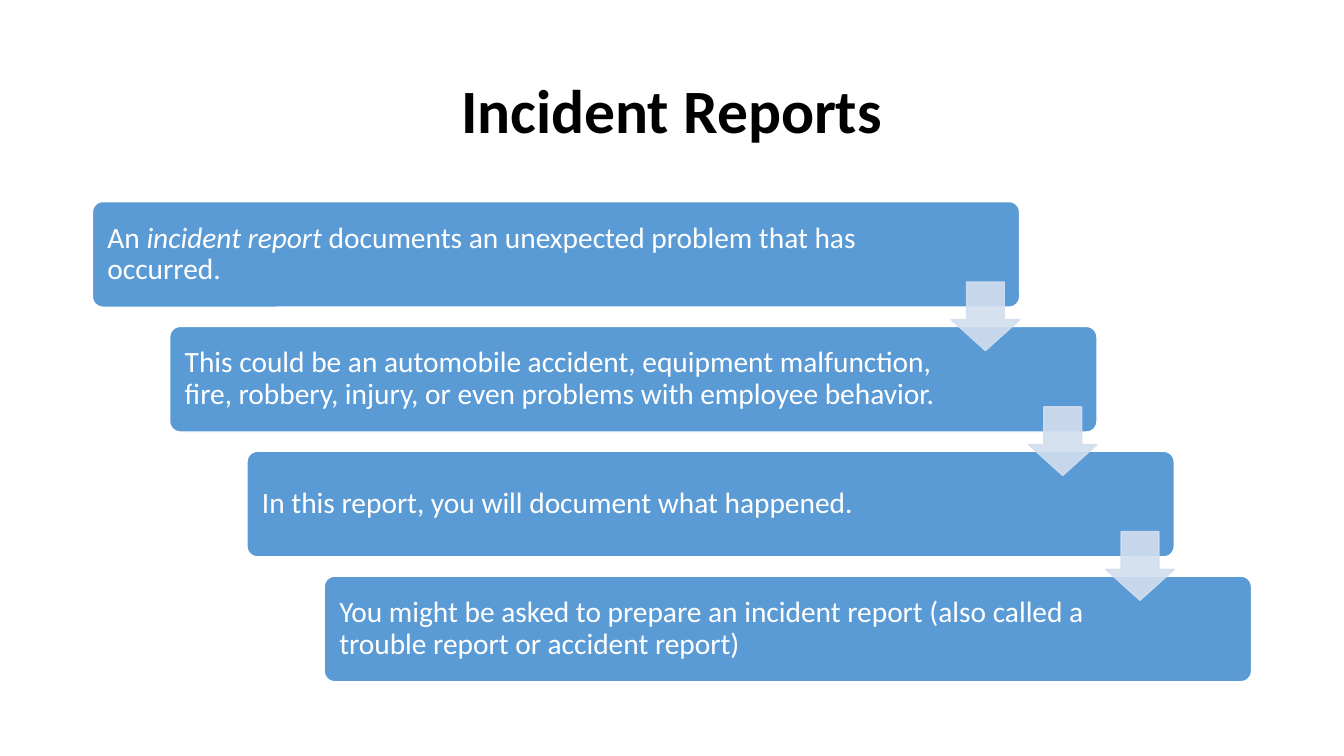
from lxml import etree
from pptx import Presentation
from pptx import util as u
from pptx.dml import color
from pptx.enum import shapes, text
from pptx.oxml import ns

COLORS = {"title": "000000", "band": "5B9BD5", "white": "FFFFFF", "arrow": "D2DEEF"}
STEPS = [
    [("An ", False), ("incident report ", True),
     ("documents an unexpected problem that has occurred.", False)],
    [("This could be an automobile accident, equipment malfunction, fire, "
      "robbery, injury, or even problems with employee behavior.", False)],
    [("In this report, you will document what happened.", False)],
    [("You might be asked to prepare an incident report (also called a "
      "trouble report or accident report)", False)],
]


def rgb(name):
    """Return the named colour."""
    return color.RGBColor.from_string(COLORS[name])


def add_text(p, words, size=21, fill="white", bold=False, italic=False):
    """Append a formatted run to a paragraph."""
    r = p.add_run()
    r.text = words
    f = r.font
    f.name, f.size, f.bold, f.italic = "Calibri", u.Pt(size), bold, italic
    f.color.rgb = rgb(fill)


def first_paragraph(sp, align, left=7.2, right=7.2):
    """Set up a wrapped, middle-anchored text frame and return its paragraph."""
    tf = sp.text_frame
    tf.word_wrap = True
    tf.vertical_anchor = text.MSO_ANCHOR.MIDDLE
    tf.margin_left, tf.margin_right = u.Pt(left), u.Pt(right)
    p = tf.paragraphs[0]
    p.alignment, p.line_spacing = align, 0.9
    return p


def add_block(s, kind, box, adjustments, fill, line):
    """Add a flat preset shape in the given box."""
    sp = s.shapes.add_shape(kind, *map(u.Pt, box))
    sp.shadow.inherit = False
    for i, value in enumerate(adjustments):
        sp.adjustments[i] = value
    sp.fill.solid()
    sp.fill.fore_color.rgb = rgb(fill)
    sp.line.color.rgb = rgb(line)
    sp.line.width = u.Pt(1)
    return sp


def add_title(s, box, words):
    """Add the centred slide title."""
    sp = s.shapes.add_textbox(*map(u.Pt, box))
    p = first_paragraph(sp, text.PP_ALIGN.CENTER)
    add_text(p, words, size=44, fill="title", bold=True)


def add_staircase(s, box, steps):
    """Add descending bands joined by translucent down arrows."""
    x, y, w, h = box
    band_w, band_h, arrow = 0.8 * w, 0.22 * h, 49
    dx, dy = ((total - part) / (len(steps) - 1)
              for total, part in ((w, band_w), (h, band_h)))
    for i, runs in enumerate(steps):
        sp = add_block(s, shapes.MSO_SHAPE.ROUNDED_RECTANGLE,
                       (x + i * dx, y + i * dy, band_w, band_h),
                       [0.1], "band", "white")
        p = first_paragraph(sp, text.PP_ALIGN.LEFT, left=8.6, right=113)
        for words, italic in runs:
            add_text(p, words, italic=italic)
    for i in range(len(steps) - 1):
        sp = add_block(s, shapes.MSO_SHAPE.DOWN_ARROW,
                       (x + i * dx + band_w - arrow, y + i * dy + 57.4, arrow, arrow),
                       [0.55, 0.45], "arrow", "arrow")
        for clr in sp.element.spPr.iter(ns.qn("a:srgbClr")):
            etree.SubElement(clr, ns.qn("a:alpha"), val="90000")


def main():
    """Build and save the slide."""
    prs = Presentation()
    prs.slide_width, prs.slide_height = u.Pt(960), u.Pt(540)
    s = prs.slides.add_slide(prs.slide_layouts[6])
    add_title(s, (66, 28.8, 828, 104.4), "Incident Reports")
    add_staircase(s, (66, 144, 828, 343), STEPS)
    prs.save("out.pptx")


main()
